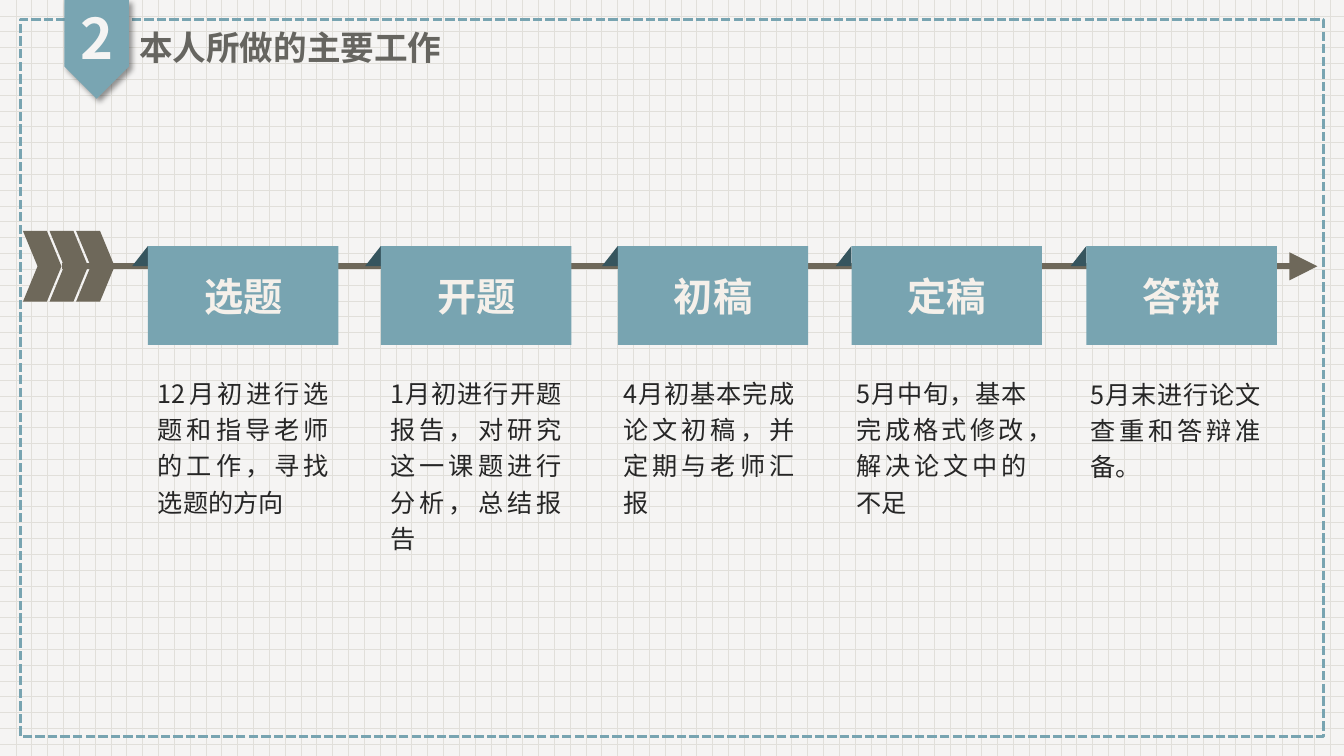
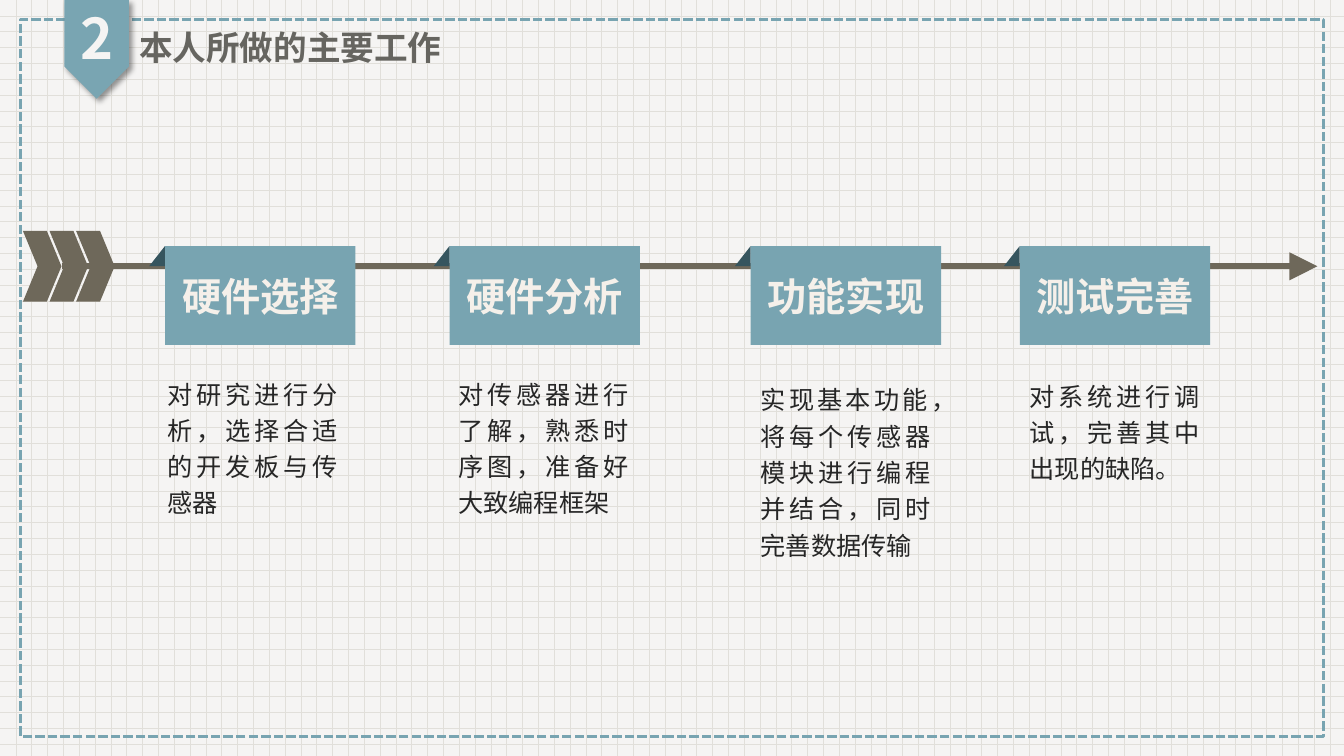
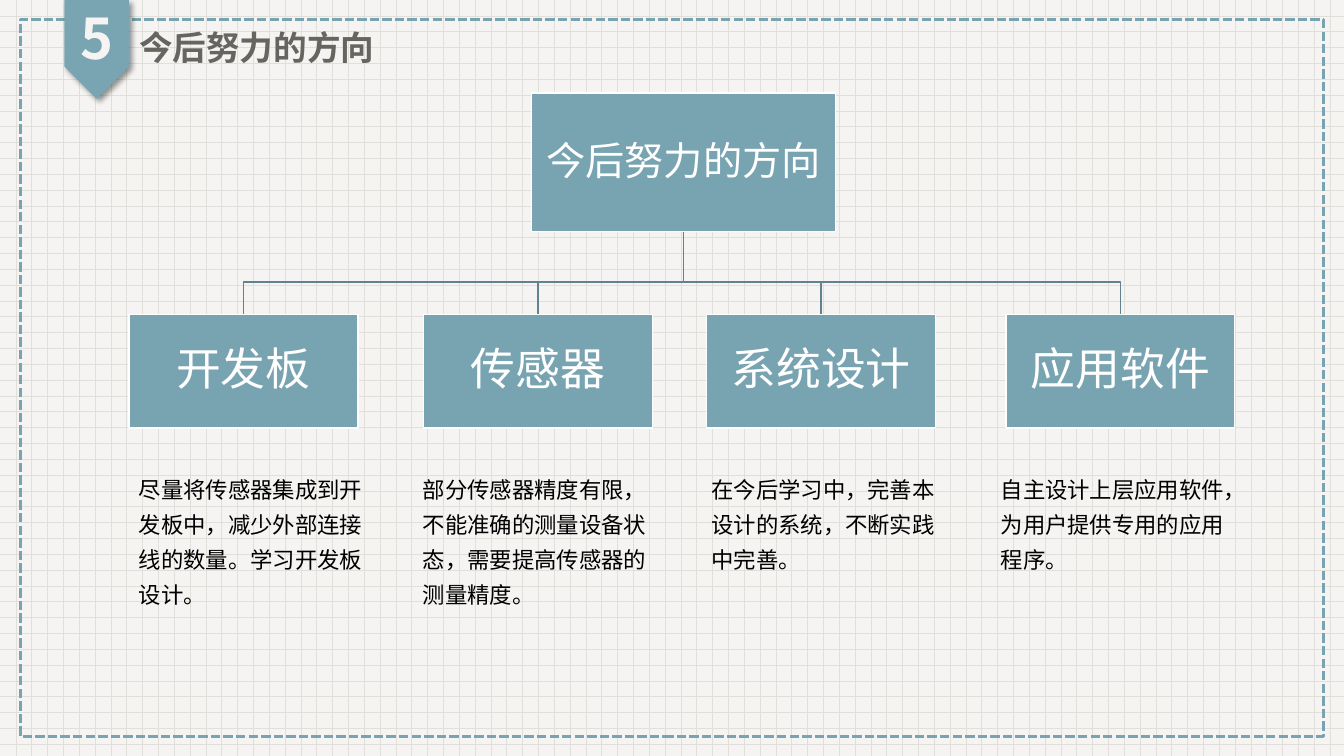
"""Build three slides on thesis work stages and future directions."""
from lxml import etree
from pptx import Presentation
from pptx.dml.color import RGBColor
from pptx.enum.dml import MSO_LINE, MSO_PATTERN
from pptx.enum.shapes import MSO_CONNECTOR, MSO_SHAPE
from pptx.enum.text import MSO_ANCHOR, MSO_AUTO_SIZE, PP_ALIGN
from pptx.oxml.ns import qn
from pptx.util import Cm, Pt

FONT = "Noto Sans CJK SC"
TEAL = RGBColor(0x78, 0xA4, 0xB1)
TAG_TEAL = RGBColor(0x79, 0xA5, 0xB2)
DEEP_TEAL = RGBColor(0x36, 0x55, 0x5E)
BRANCH_TEAL = RGBColor(0x60, 0x83, 0x8E)
BROWN = RGBColor(0x6E, 0x68, 0x5A)
TITLE_GREY = RGBColor(0x66, 0x65, 0x60)
PAPER = RGBColor(0xF5, 0xF4, 0xF3)
GRID = RGBColor(0xE1, 0xDF, 0xDA)
CREAM = RGBColor(0xF5, 0xF0, 0xEA)
CHARCOAL = RGBColor(0x26, 0x26, 0x26)
BLACK = RGBColor(0, 0, 0)
WHITE = RGBColor(0xFF, 0xFF, 0xFF)

RECT = MSO_SHAPE.RECTANGLE
PENTAGON = MSO_SHAPE.PENTAGON
PARALLELOGRAM = MSO_SHAPE.PARALLELOGRAM
TRIANGLE = MSO_SHAPE.ISOSCELES_TRIANGLE
STRAIGHT = MSO_CONNECTOR.STRAIGHT
SYS_DASH = MSO_LINE.SQUARE_DOT
DOT_GRID = MSO_PATTERN.DOTTED_GRID
TOP, MIDDLE = MSO_ANCHOR.TOP, MSO_ANCHOR.MIDDLE
LEFT, CENTER, JUSTIFY = PP_ALIGN.LEFT, PP_ALIGN.CENTER, PP_ALIGN.JUSTIFY
NO_FIT, GROW = MSO_AUTO_SIZE.NONE, MSO_AUTO_SIZE.SHAPE_TO_FIT_TEXT

AXIS_Y = 6.71
STAGE_TOP, STAGE_WIDTH, STAGE_HEIGHT = 6.2, 4.8, 2.49
FOLD_WIDTH, FOLD_HEIGHT = 0.4, 0.51
ROOT = (13.39, 2.34, 7.67, 3.5)
BRANCH_Y = 7.11
CARD_TOP, CARD_WIDTH, CARD_HEIGHT = 7.92, 5.77, 2.87

SCHEDULE = [
    (3.73, "选题", 3.73, 9.25, 4.8, "12月初进行选题和指导老师的工作，寻找选题的方向"),
    (9.6, "开题", 9.6, 9.25, 4.8, "1月初进行开题报告，对研究这一课题进行分析，总结报告"),
    (15.57, "初稿", 15.47, 9.25, 3.86, "4月初基本完成论文初稿，并定期与老师汇报"),
    (21.46, "定稿", 21.34, 9.25, 3.86, "5月中旬，基本完成格式修改，解决论文中的不足"),
    (27.38, "答辩", 27.23, 9.27, 2.95, "5月末进行论文查重和答辩准备。"),
]
DEVELOPMENT = [
    (4.16, "硬件选择", 3.96, 9.27, 3.86, "对研究进行分析，选择合适的开发板与传感器"),
    (11.33, "硬件分析", 11.3, 9.27, 3.86, "对传感器进行了解，熟悉时序图，准备好大致编程框架"),
    (18.92, "功能实现", 18.92, 9.42, 4.8, "实现基本功能，将每个传感器模块进行编程并结合，同时完善数据传输"),
    (25.7, "测试完善", 25.7, 9.32, 2.95, "对系统进行调试，完善其中出现的缺陷。"),
]
DIRECTIONS = [
    (3.25, "开发板", 3.25, 3.73, "尽量将传感器集成到开发板中，减少外部连接线的数量。学习开发板设计。"),
    (10.67, "传感器", 10.41, 3.73, "部分传感器精度有限，不能准确的测量设备状态，需要提高传感器的测量精度。"),
    (17.81, "系统设计", 17.68, 2.84, "在今后学习中，完善本设计的系统，不断实践中完善。"),
    (25.35, "应用软件", 24.97, 2.84, "自主设计上层应用软件，为用户提供专用的应用程序。"),
]


def lengths(box):
    """Turn a tuple of centimetres into lengths."""
    return [Cm(value) for value in box]


def write(shape, text, *, size, color, bold=False, align=LEFT, anchor=TOP,
          spacing=1.0, before=0, fit=NO_FIT, inset=None):
    """Write one formatted paragraph into a shape."""
    frame = shape.text_frame
    frame.word_wrap = True
    frame.auto_size = fit
    frame.vertical_anchor = anchor
    if inset is not None:
        frame.margin_left = frame.margin_right = Cm(inset)
        frame.margin_top = frame.margin_bottom = Cm(inset)
    paragraph = frame.paragraphs[0]
    paragraph.alignment = align
    paragraph.line_spacing = spacing
    paragraph.space_before = Pt(before)
    run = paragraph.add_run()
    run.text = text
    run.font.size = Pt(size)
    run.font.bold = bold
    run.font.color.rgb = color
    run.font.name = FONT
    for properties in shape.element.iter(qn("a:rPr")):
        properties.set("lang", "zh-CN")
        etree.SubElement(properties, qn("a:ea"), typeface=FONT)


def add_text(slide, box, text, **style):
    """Add a text box."""
    write(slide.shapes.add_textbox(*lengths(box)), text, **style)


def paint(shape, fill=None, line=None, width=1):
    """Set fill and outline, and drop the shadow."""
    shape.shadow.inherit = False
    if fill is None:
        shape.fill.background()
    else:
        shape.fill.solid()
        shape.fill.fore_color.rgb = fill
    if line is None:
        shape.line.fill.background()
    else:
        shape.line.color.rgb = line
        shape.line.width = Pt(width)


def add_block(slide, kind, box, fill=None, line=None, width=1, adjust=None, flip=False):
    """Add a preset shape."""
    block = slide.shapes.add_shape(kind, *lengths(box))
    paint(block, fill, line, width)
    if adjust is not None:
        block.adjustments[0] = adjust
    if flip:
        block.element.spPr.xfrm.set("flipH", "1")
    return block


def add_tag_shadow(tag):
    """Give the number tag a soft shadow."""
    effects = tag.element.spPr.find(qn("a:effectLst"))
    shadow = etree.SubElement(effects, qn("a:outerShdw"), blurRad=str(Pt(4)),
                              dist=str(Pt(3)), dir="2700000", rotWithShape="0")
    color = etree.SubElement(shadow, qn("a:srgbClr"), val="000000")
    etree.SubElement(color, qn("a:alpha"), val="40000")


def dress_deck(prs, layout, slide):
    """Put the grid paper on the master, the frame and tag on the layout."""
    paper = prs.slide_master.background.fill
    paper.patterned()
    paper.pattern = DOT_GRID
    paper.fore_color.rgb = GRID
    paper.back_color.rgb = PAPER
    border = add_block(slide, RECT, (0.51, 0.49, 32.84, 18.06), line=TEAL, width=2.25)
    border.line.dash_style = SYS_DASH
    tag = add_block(slide, PENTAGON, (1.19, 0.43, 2.49, 1.63), TAG_TEAL)
    tag.rotation = 90
    add_tag_shadow(tag)
    for part in (border, tag):
        layout.shapes.element.append(part.element)


def add_heading(slide, number, title):
    """Fill the title and the section number."""
    add_text(slide, (1.63, 0, 1.63, 2.08), number, size=40, color=PAPER, bold=True,
             align=CENTER, anchor=MIDDLE, spacing=0.9, before=10)
    heading = slide.shapes.title
    heading.left, heading.top, heading.width, heading.height = lengths((3.25, 0.6, 11.68, 1.3))
    write(heading, title, size=24, color=TITLE_GREY, bold=True,
          anchor=MIDDLE, spacing=0.9, before=10)


def add_axis(slide):
    """Draw the feathered timeline arrow."""
    axis = slide.shapes.add_connector(
        STRAIGHT, *lengths((1.55, AXIS_Y, 33.2, AXIS_Y)))
    axis.line.color.rgb = BROWN
    axis.line.width = Pt(4)
    properties = axis.element.spPr
    etree.SubElement(properties.find(qn("a:ln")), qn("a:tailEnd"),
                     type="triangle", w="lg", len="lg")
    etree.SubElement(properties, qn("a:effectLst"))
    feather_height = 0.89
    for top, flip in ((AXIS_Y - feather_height, True), (AXIS_Y, False)):
        for index in range(3):
            add_block(slide, PARALLELOGRAM, (0.58 + 0.67 * index, top, 0.97, feather_height),
                      BROWN, adjust=0.413, flip=flip)


def add_stage(slide, left, label, note_left, note_top, note_height, note):
    """Add one timeline stage with its fold and note."""
    add_block(slide, TRIANGLE, (left - FOLD_WIDTH, STAGE_TOP, FOLD_WIDTH, FOLD_HEIGHT),
              DEEP_TEAL, adjust=0, flip=True)
    stage = add_block(slide, RECT, (left, STAGE_TOP, STAGE_WIDTH, STAGE_HEIGHT), TEAL)
    write(stage, label, size=28, color=CREAM, bold=True, align=CENTER, anchor=MIDDLE)
    add_text(slide, (note_left, note_top, STAGE_WIDTH, note_height), note, size=18,
             color=CHARCOAL, align=JUSTIFY, spacing=1.2, fit=GROW)


def add_timeline(slide, stages):
    """Draw the axis and all its stages."""
    add_axis(slide)
    for stage in stages:
        add_stage(slide, *stage)


def add_branch(slide, target_x):
    """Draw a bent line from the root card to a child card."""
    left, top, width, height = ROOT
    root_x = left + width / 2
    start = lengths((root_x, top + height))
    bends = [(root_x, BRANCH_Y), (target_x, BRANCH_Y), (target_x, CARD_TOP)]
    builder = slide.shapes.build_freeform(*start)
    builder.add_line_segments([lengths(point) for point in bends], close=False)
    paint(builder.convert_to_shape(), line=BRANCH_TEAL)


def add_card(slide, box, label, size):
    """Add one card of the tree."""
    card = add_block(slide, RECT, box, TEAL, WHITE)
    write(card, label, size=size, color=WHITE, align=CENTER, anchor=MIDDLE,
          spacing=0.9, inset=0.05)


def add_tree(slide, root_label, directions):
    """Draw the root card, its branches, child cards and notes."""
    for left, *_ in directions:
        add_branch(slide, left + CARD_WIDTH / 2)
    add_card(slide, ROOT, root_label, 28)
    for left, label, note_left, note_height, note in directions:
        add_card(slide, (left, CARD_TOP, CARD_WIDTH, CARD_HEIGHT), label, 32)
        add_text(slide, (note_left, 11.68, 6.53, note_height), note, size=16,
                 color=BLACK, spacing=1.3, before=6, fit=GROW)


def main():
    """Build and save the deck."""
    prs = Presentation()
    prs.slide_width, prs.slide_height = Cm(33.87), Cm(19.05)
    layout = prs.slide_layouts[5]
    schedule, development, future = [prs.slides.add_slide(layout) for _ in range(3)]
    dress_deck(prs, layout, schedule)
    for slide, stages in ((schedule, SCHEDULE), (development, DEVELOPMENT)):
        add_heading(slide, "2", "本人所做的主要工作")
        add_timeline(slide, stages)
    add_heading(future, "5", "今后努力的方向")
    add_tree(future, "今后努力的方向", DIRECTIONS)
    prs.save("out.pptx")


main()
